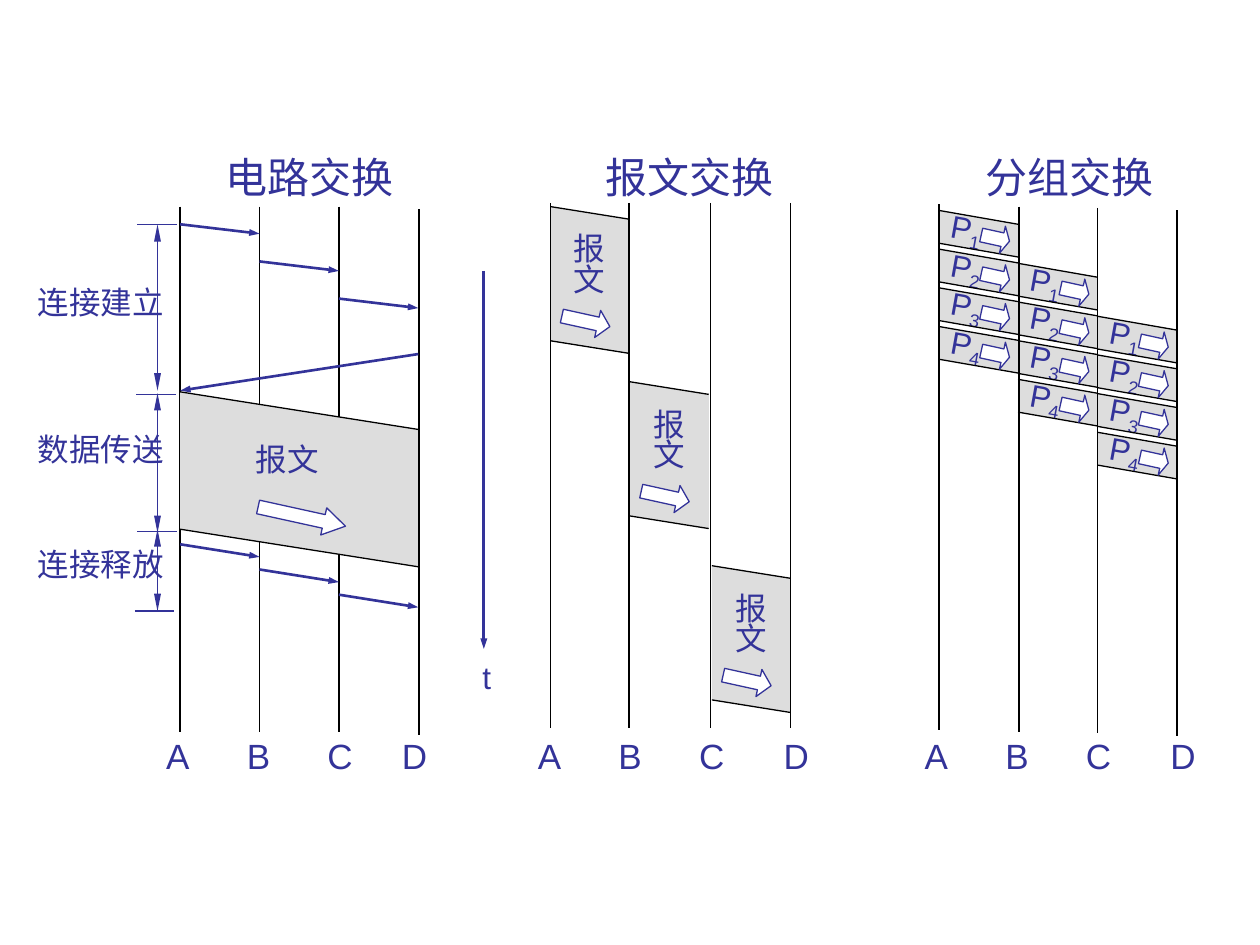
"""Build a slide comparing the timing of circuit, message and packet switching."""
import dataclasses

import lxml.etree
import pptx
import pptx.dml.color
import pptx.enum.shapes
import pptx.enum.text
import pptx.oxml.ns
import pptx.util


@dataclasses.dataclass(frozen=True)
class Theme:
    ink: str = "333399"
    edge: str = "000000"
    block: str = "DDDDDD"
    arrow: str = "FFFFFF"
    font: str = "Arial"
    title: int = 24
    station: int = 20
    body: int = 18
    thin: float = 0.75
    axis: float = 1
    signal: float = 1.5


theme = Theme()
rgb = pptx.dml.color.RGBColor.from_string
qn = pptx.oxml.ns.qn
preset = pptx.enum.shapes.MSO_SHAPE

deck = pptx.Presentation()
deck.slide_width = pptx.util.Inches(10)
deck.slide_height = pptx.util.Inches(7.5)
page = deck.slides.add_slide(deck.slide_layouts[6])
column = deck.slide_width / 100
row = deck.slide_height / 75


def draw_line(x1, y1, x2, y2, color, width, ends=(), length="med"):
    line = page.shapes.add_connector(
        pptx.enum.shapes.MSO_CONNECTOR.STRAIGHT,
        round(x1 * column), round(y1 * row), round(x2 * column), round(y2 * row),
    )
    line.line.color.rgb = rgb(color)
    line.line.width = pptx.util.Pt(width)
    for end in ends:
        lxml.etree.SubElement(line.line._get_or_add_ln(), qn(f"a:{end}"), type="triangle", w="sm", len=length)
    lxml.etree.SubElement(line._element.spPr, qn("a:effectLst"))


def write(text, left, top, width, height, size, spacing=None, subscript=""):
    box = page.shapes.add_textbox(
        round(left * column), round(top * row), round(width * column), round(height * row)
    )
    frame = box.text_frame
    frame.text = text
    frame.word_wrap = False
    frame.auto_size = pptx.enum.text.MSO_AUTO_SIZE.SHAPE_TO_FIT_TEXT
    if subscript:
        span = frame.paragraphs[0].add_run()
        span.text = subscript
        span._r.get_or_add_rPr().set("baseline", "-25000")
    for para in frame.paragraphs:
        para.line_spacing = spacing
        for span in para.runs:
            span.font.name = theme.font
            span.font.size = pptx.util.Pt(size)
            span.font.color.rgb = rgb(theme.ink)
    return box


hop = 6.3
lifeline = 41.7
circuit_left = 14.3
for station in range(3):
    x = circuit_left + station * hop
    draw_line(x, 16.4, x, 16.4 + lifeline, theme.edge, theme.axis)

kinds = {
    "circuit": (19, 3, 10.9, (6.1, 8.8, 7.1, 0.8), (5, 3.3, 7, 4), 0, None),
    "message": (6.25, 1, 10.65, (0.85, 8, 3.9, 0.45), (0.85, 1.9, 4.5, 5.8), 0, 0.8),
    "packet": (6.3, 1.1, 2.6, (3.35, 1.1, 2.3, 0.26), (0, -0.6, 4.6, 4), 10.4, None),
}
blocks = [("circuit", circuit_left, 31.1, "报文", "")]
blocks += [("message", x, y, "报\n文", "") for x, y in ((43.7, 16.4), (50, 30.3), (56.5, 44.9))]
blocks += [
    ("packet", 74.5 + step * hop, 16.7 + 4.2 * step + 3.07 * (int(number) - 1), "P", number)
    for step, order in ((2, "1234"), (1, "1234"), (0, "3421"))
    for number in order
]
for kind, x, y, text, number in blocks:
    width, drop, thickness, arrow_place, label_place, tilt, spacing = kinds[kind]
    height = thickness + drop
    block = page.shapes.add_shape(
        preset.PARALLELOGRAM,
        round((x + (width - height) / 2) * column), round((y + (height - width) / 2) * row),
        round(height * column), round(width * row),
    )
    block.rotation = 90
    block.adjustments[0] = drop / min(width, height)
    block.fill.solid()
    block.fill.fore_color.rgb = rgb(theme.block)
    block.line.fill.background()
    block.shadow.inherit = False

    dx, dy, label_width, label_height = label_place
    label = write(text, x + dx, y + dy, label_width, label_height, theme.body, spacing, number)
    label.rotation = tilt
    for edge in (y, y + thickness):
        draw_line(x, edge, x + width, edge + drop, theme.edge, theme.thin)

    dx, dy, arrow_width, head = arrow_place
    arrow = page.shapes.add_shape(
        preset.RIGHT_ARROW,
        round((x + dx) * column), round((y + dy) * row), round(arrow_width * column), round(2.2 * row),
    )
    arrow.rotation = 12.4
    arrow.adjustments[1] = head
    arrow.fill.solid()
    arrow.fill.fore_color.rgb = rgb(theme.arrow)
    arrow.line.color.rgb = rgb(theme.ink)
    arrow.line.width = pptx.util.Pt(theme.thin)
    arrow.shadow.inherit = False

for x, y in (
    (33.25, 16.6),
    (43.7, 16.1), (49.9, 16.1), (56.4, 16.1), (62.75, 16.1),
    (74.5, 16.2), (80.9, 16.4), (87.1, 16.5), (93.4, 16.7),
):
    draw_line(x, y, x, y + lifeline, theme.edge, theme.axis)

signals = [(33.2, 28.1, circuit_left, 31), (38.4, 21.5, 38.4, 51.5)]
for first, gap, drop in ((17.8, 2.95, 0.75), (43.2, 2, 1)):
    for step in range(3):
        x, y = circuit_left + step * hop, first + step * gap
        signals.append((x, y, x + hop, y + drop))
for signal in signals:
    draw_line(*signal, theme.ink, theme.signal, ("tailEnd",))
write("t", 37.3, 51.7, 2.7, 4, theme.body)

for x, y in ((10.9, 17.8), (10.8, 31.3), (10.9, 42.2), (10.7, 48.5)):
    draw_line(x, y, x + 3.15, y, theme.ink, theme.thin)
for phase, label_top, start, finish in (
    ("连接建立", 22.3, 17.8, 31), ("数据传送", 34, 31.2, 42.3), ("连接释放", 43.1, 42, 48.5),
):
    write(phase, 2, label_top, 12, 3.7, theme.body, 0.9)
    draw_line(12.5, start, 12.5, finish, theme.ink, theme.thin, ("headEnd", "tailEnd"), "lg")

for title, title_left, stations_left, last_stop in (
    ("电路交换", 16.9, 12.2, 18.7), ("报文交换", 47.1, 41.7, 19.5), ("分组交换", 77.2, 72.4, 19.5),
):
    write(title, title_left, 11.5, 15.3, 5, theme.title)
    box = write("A\tB\tC\tD", stations_left, 57.8, 23.5, 4.3, theme.station)
    box.text_frame.word_wrap = True
    box.text_frame.margin_right = 0
    tabs = lxml.etree.SubElement(box.text_frame.paragraphs[0]._p.get_or_add_pPr(), qn("a:tabLst"))
    for stop in (6.4, 12.8, last_stop):
        lxml.etree.SubElement(tabs, qn("a:tab"), pos=str(round(stop * column)), algn="l")

deck.save("out.pptx")
